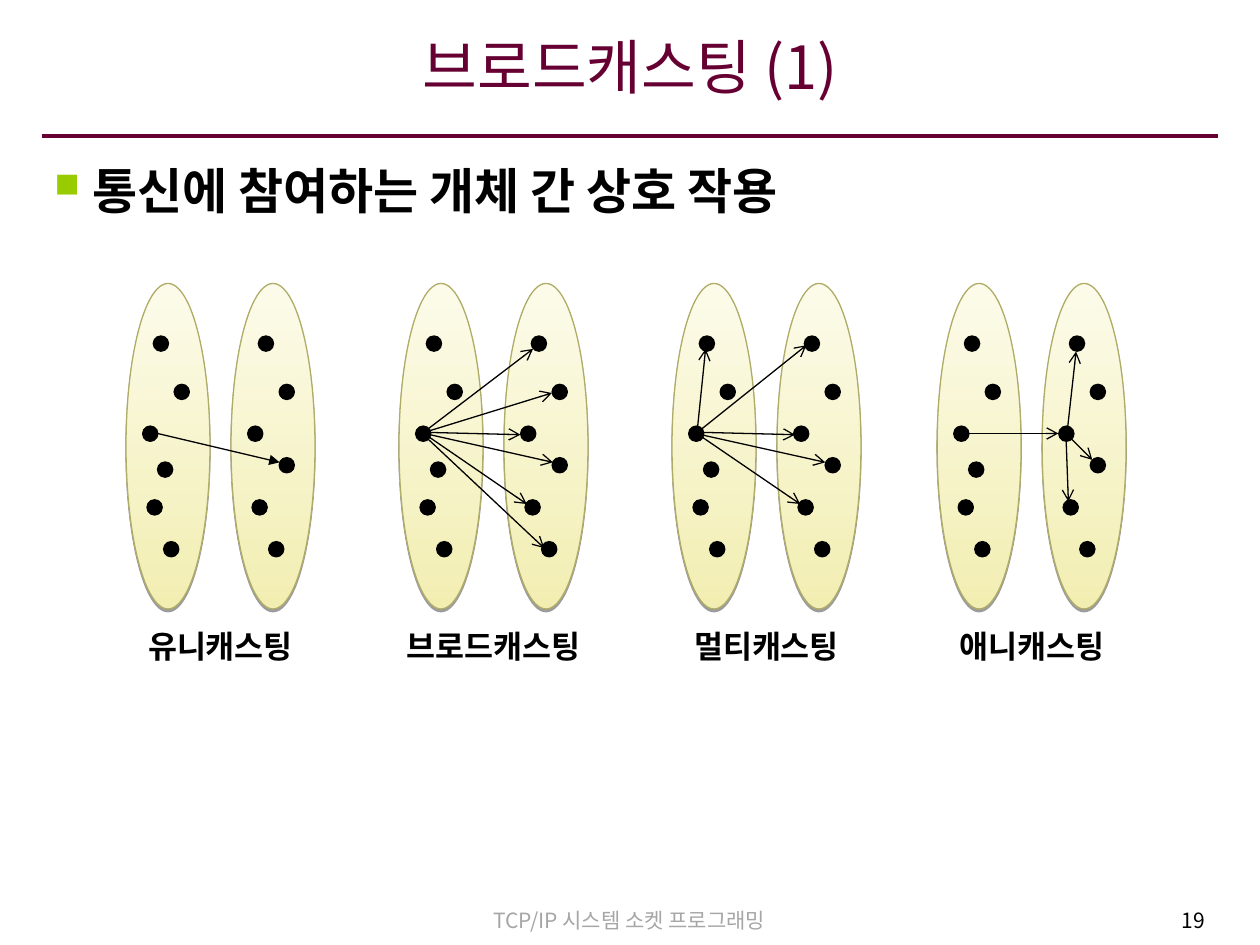
from lxml.etree import SubElement as Sub
from pptx import Presentation
from pptx.dml.color import RGBColor as RGB
from pptx.enum.shapes import MSO_CONNECTOR as CONN, MSO_SHAPE as SHAPE
from pptx.enum.text import MSO_ANCHOR as ANCHOR, PP_ALIGN as ALIGN
from pptx.oxml.ns import qn
from pptx.util import Pt

FONT = "Noto Sans CJK KR"
HEX = {"wine": "660033", "black": "000000", "gray": "A6A6A6", "lime": "99CC00",
       "cream": "FCFBEA", "sand": "F2EEB2", "olive": "AFAC67"}

# Dots inside an oval, from its top left corner; only the fourth differs by side
DOT = 8.7
DOTS = [(15.6, 30), (27.5, 57.6), (9.5, 81.5), None, (12, 123.6), (21.5, 147.5)]
FOURTH = [(18, 102), (27.5, 99.5)]
OVAL_W, OVAL_H, STEP = 48, 186, 60

# Panels: left, label, arrowhead, arrows (x1, y1, x2, y2) from the panel corner
PANELS = [
    (72, "유니캐스팅", "triangle", [(18, 85.7, 87.8, 102.2)]),
    (228, "브로드캐스팅", "arrow", [
        (14.6, 85.7, 88, 102.2), (13.2, 85.7, 76.6, 37.4), (12.5, 85.7, 87.4, 62.6),
        (12.5, 85, 69.4, 86.4), (13.2, 85, 73, 126), (14.6, 87, 83, 151.2)]),
    (384, "멀티캐스팅", "arrow", [
        (13.4, 85.7, 87.6, 102.2), (15.6, 84.2, 76.8, 35.3), (14.2, 85, 70.3, 86.4),
        (14.2, 85.7, 73.2, 126), (14.2, 86.4, 19.2, 37.4)]),
    (535.5, "애니캐스팅", "arrow", [
        (15.3, 85.7, 69.3, 85.7), (74.3, 85, 79.4, 38.9),
        (73.6, 85.7, 88.7, 100.8), (73.6, 85.7, 75, 124.6)]),
]


def color(name):
    return RGB.from_string(HEX[name])


def add_text(slide, box, text, size, tint="black", bold=False,
             align=ALIGN.CENTER, anchor=ANCHOR.TOP, wrap=True, foot=3.6):
    frame = slide.shapes.add_textbox(*map(Pt, box)).text_frame
    frame.word_wrap = wrap
    frame.vertical_anchor = anchor
    frame.margin_bottom = Pt(foot)
    para = frame.paragraphs[0]
    para.alignment = align
    run = para.add_run()
    run.text = text
    font = run.font
    font.size, font.bold, font.name = Pt(size), bold, FONT
    font.color.rgb = color(tint)
    Sub(font._element, qn("a:ea"), typeface=FONT)
    return para


def add_line(slide, ends, tint="black", width=0.75, head=None):
    line = slide.shapes.add_connector(CONN.STRAIGHT, *map(Pt, ends))
    line.line.color.rgb = color(tint)
    line.line.width = Pt(width)
    if head:
        Sub(line.line._get_or_add_ln(), qn("a:tailEnd"), type=head)
    Sub(line._element.spPr, qn("a:effectLst"))


def add_oval(slide, box, tint):
    oval = slide.shapes.add_shape(SHAPE.OVAL, *map(Pt, box))
    oval.shadow.inherit = False
    oval.line.color.rgb = color(tint)
    oval.line.width = Pt(0.75)
    return oval


def add_group(slide, x, y, fourth):
    """One shaded oval holding six dots."""
    oval = add_oval(slide, (x, y, OVAL_W, OVAL_H), "olive")
    oval.fill.gradient()
    oval.fill.gradient_angle = 90
    for stop, tint in zip(oval.fill.gradient_stops, ("sand", "cream")):
        stop.color.rgb = color(tint)
    effects = oval._element.spPr.find(qn("a:effectLst"))
    shade = Sub(effects, qn("a:outerShdw"), blurRad="0", dist=str(Pt(1.6)),
                dir="5400000", rotWithShape="0")
    tone = Sub(shade, qn("a:srgbClr"), val=HEX["black"])
    Sub(tone, qn("a:alpha"), val="38000")
    for dx, dy in (spot or fourth for spot in DOTS):
        dot = add_oval(slide, (x + dx, y + dy, DOT, DOT), "black")
        dot.fill.solid()
        dot.fill.fore_color.rgb = color("black")


def add_panel(slide, x, y, label, head, arrows):
    """Two groups, the arrows between them and a label below."""
    for side, fourth in enumerate(FOURTH):
        add_group(slide, x + side * STEP, y, fourth)
    for x1, y1, x2, y2 in arrows:
        add_line(slide, (x + x1, y + y1, x + x2, y + y2), head=head)
    width = STEP + OVAL_W
    add_text(slide, (x - 24, y + 192, width + 48, 30), label, 18, bold=True,
             anchor=ANCHOR.MIDDLE, wrap=False)


def add_header(slide, x, y, w):
    add_text(slide, (x, y, w, 61), "브로드캐스팅 (1)", 34, "wine",
             anchor=ANCHOR.MIDDLE, foot=11.5)
    add_line(slide, (x, 77.5, x + w, 77.5), "wine", 2.25)


def add_body(slide, box):
    para = add_text(slide, box, "통신에 참여하는 개체 간 상호 작용", 28,
                    bold=True, align=ALIGN.LEFT)
    para.space_before = Pt(7)
    props = para._p.get_or_add_pPr()
    props.set("marL", str(Pt(21.6)))
    props.set("indent", str(-Pt(21.6)))
    Sub(Sub(props, qn("a:buClr")), qn("a:srgbClr"), val=HEX["lime"])
    Sub(props, qn("a:buSzPct"), val="70000")
    Sub(props, qn("a:buChar"), char="■")


def add_footer(slide, y):
    add_text(slide, (206.6, y, 306, 22), "TCP/IP 시스템 소켓 프로그래밍", 12, "gray")
    add_text(slide, (543, y, 152.5, 22), "19", 12, align=ALIGN.RIGHT)


def main():
    deck = Presentation()
    deck.slide_width, deck.slide_height = Pt(720), Pt(540)
    slide = deck.slides.add_slide(deck.slide_layouts[6])
    add_header(slide, 24, 10.8, 672)
    add_body(slide, (24, 88, 672, 422))
    for x, label, head, arrows in PANELS:
        add_panel(slide, x, 162, label, head, arrows)
    add_footer(slide, 515)
    deck.save("out.pptx")


if __name__ == "__main__":
    main()
